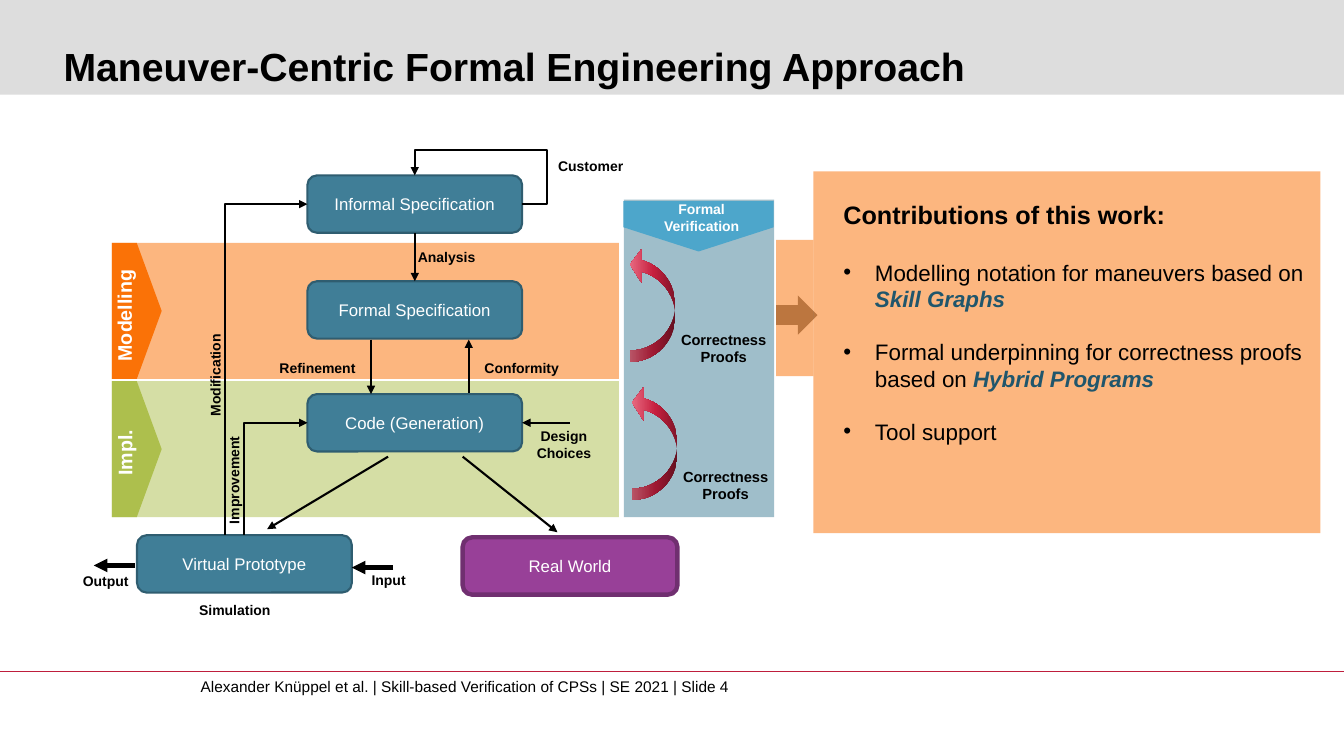
from lxml.etree import SubElement
from pptx import Presentation
from pptx.dml.color import RGBColor
from pptx.enum.dml import MSO_LINE
from pptx.enum.shapes import MSO_CONNECTOR, MSO_SHAPE
from pptx.enum.text import MSO_ANCHOR, MSO_AUTO_SIZE, PP_ALIGN
from pptx.oxml.ns import qn
from pptx.util import Pt

BLACK = RGBColor(0, 0, 0)
WHITE = RGBColor(255, 255, 255)
GREY = RGBColor(0xDD, 0xDD, 0xDD)
RED = RGBColor(0xBE, 0x1E, 0x3C)
TEAL = RGBColor(0x40, 0x7E, 0x97)
DARK_TEAL = RGBColor(0x2F, 0x5D, 0x70)
EMPHASIS = RGBColor(0x20, 0x56, 0x6C)
SKY = RGBColor(0x4D, 0xA6, 0xCB)
ORANGE = RGBColor(0xFA, 0x6E, 0x00)
GREEN = RGBColor(0xAD, 0xBF, 0x4D)
PURPLE = RGBColor(0x98, 0x40, 0x98)
DARK_PURPLE = RGBColor(0x70, 0x2F, 0x70)
PROOF_GRADIENT = [(0, "7F1428"), (48, "C61F3E"), (100, "E76980")]

# Content
TITLE = "Maneuver-Centric Formal Engineering Approach"
FOOTER = "Alexander Knüppel et al. | Skill-based Verification of CPSs | SE 2021 | Slide 4"
HEADING = "Contributions of this work:"
CONTRIBUTIONS = [  # plain text, emphasised text, space before
    ("Modelling notation for maneuvers based on\v", "Skill Graphs", 20.7),
    ("Formal underpinning for correctness proofs\vbased on ", "Hybrid Programs", 18.4),
    ("Tool support", "", 18.4),
]
BOX_WIDTH, BOX_HEIGHT = 153.4, 41
BOXES = [  # text, left, top, fill, line, line width
    ("Informal Specification", 219.6, 125.3, TEAL, DARK_TEAL, 1.5),
    ("Formal Specification", 219.6, 200.9, TEAL, DARK_TEAL, 1.5),
    ("Code (Generation)", 219.6, 281.5, TEAL, DARK_TEAL, 1.5),
    ("Virtual Prototype", 97.9, 382.3, TEAL, DARK_TEAL, 1.5),
    ("Real World", 330.5, 383.8, PURPLE, DARK_PURPLE, 3.15),
]
BAND_LEFT, BAND_WIDTH, BAND_HEIGHT = 79.9, 362.2, 97.2
BANDS = [(GREEN, 272.2, 100), (ORANGE, 173.5, 94)]  # colour, top, arrow opacity
FREE_ARROWS = [  # start, end, width
    ((277.2, 326.2), (190.8, 378), 1.5),
    ((330.5, 326.2), (398.2, 380.2), 1.5),
    ((265, 242.6), (265, 281.5), 1.5),
    ((334.8, 280.8), (334.8, 242.6), 1.5),
    ((280.8, 405.4), (251.3, 405.4), 3.25),
    ((96.5, 403.9), (67, 403.9), 3.25),
]
LABELS = [  # lines, left, top, width, height, size, colour, rotation
    (["Impl."], 65.5, 311, 47.5, 24.5, 14, WHITE, 270),
    (["Modelling"], 49, 213.1, 79.9, 24.5, 14, WHITE, 270),
    (["Simulation"], 134.6, 426.2, 66.2, 19.4, 10, BLACK, 0),
    (["Design", "Choices"], 375.8, 301.7, 54, 31.7, 10, BLACK, 0),
    (["Input"], 257.8, 404.6, 39.6, 19.4, 10, BLACK, 0),
    (["Output"], 51.8, 405.4, 47.5, 19.4, 10, BLACK, 0),
    (["Customer"], 391, 108.7, 61.9, 19.4, 10, BLACK, 0),
    (["Analysis"], 290.9, 173.9, 56.2, 19.4, 10, BLACK, 0),
    (["Conformity"], 338.4, 253.4, 68.4, 19.4, 10, BLACK, 0),
    (["Refinement"], 192.2, 253.4, 69.1, 19.4, 10, BLACK, 0),
    (["Improvement"], 128.2, 333.4, 77.8, 19.4, 10, BLACK, 270),
    (["Modification"], 116.6, 258.5, 74.2, 19.4, 10, BLACK, 270),
    (["Formal", "Verification"], 466.6, 139.7, 69.1, 31.7, 10, WHITE, 0),
    (["Correctness", "Proofs"], 478.8, 232.6, 76.3, 32.4, 10.5, BLACK, 0),
    (["Correctness", "Proofs"], 480.2, 330.5, 76.3, 32.4, 10.5, BLACK, 0),
]
PROOF_ARROWS = [(425.5, 201.6), (427, 300.2)]

presentation = Presentation()
presentation.slide_width, presentation.slide_height = Pt(960), Pt(540)
slide = presentation.slides.add_slide(presentation.slide_layouts[6])


def set_font(font, size, color, bold=False):
    font.name, font.size, font.bold = "Arial", Pt(size), bold
    font.color.rgb = color


def add_shape(kind, left, top, width, height, color, opacity=100, rotation=0):
    shape = slide.shapes.add_shape(kind, Pt(left), Pt(top), Pt(width), Pt(height))
    shape.shadow.inherit = False
    shape.rotation = rotation
    shape.line.fill.background()
    shape.fill.solid()
    shape.fill.fore_color.rgb = color
    if opacity < 100:
        color_element = shape.fill._xPr.find(".//" + qn("a:srgbClr"))
        SubElement(color_element, qn("a:alpha"), val=str(opacity * 1000))
    return shape


def add_text(lines, left, top, width, height, size, color, bold=True,
             align=PP_ALIGN.LEFT, margins=True):
    box = slide.shapes.add_textbox(Pt(left), Pt(top), Pt(width), Pt(height))
    frame = box.text_frame
    frame.word_wrap = not margins
    if margins:
        frame.auto_size = MSO_AUTO_SIZE.SHAPE_TO_FIT_TEXT
    else:
        frame.margin_left = frame.margin_right = frame.margin_top = frame.margin_bottom = 0
    frame.text = "\n".join(lines)
    for paragraph in frame.paragraphs:
        paragraph.alignment = align
        set_font(paragraph.font, size, color, bold)
    return box


def add_line(start, end, width=1.5, color=BLACK, arrow="tailEnd", kind=MSO_CONNECTOR.STRAIGHT):
    line = slide.shapes.add_connector(kind, *(Pt(value) for value in (*start, *end)))
    line.line.width = Pt(width)
    line.line.color.rgb = color
    line.line.dash_style = MSO_LINE.SOLID
    if arrow:
        SubElement(line.line._ln, qn("a:" + arrow), type="triangle")
    SubElement(line._element.spPr, qn("a:effectLst"))
    return line


def add_bent(start, end, preset, arrow, adjustments=()):
    line = add_line(start, end, arrow=arrow, kind=MSO_CONNECTOR.ELBOW)
    geometry = line._element.spPr.find(qn("a:prstGeom"))
    geometry.set("prst", preset)
    guides = geometry.find(qn("a:avLst"))
    for number, value in enumerate(adjustments, 1):
        SubElement(guides, qn("a:gd"), name=f"adj{number}", fmla=f"val {value}")
    return line


# Header and footer
add_shape(MSO_SHAPE.RECTANGLE, 0, 0, 960, 67.7, GREY)
add_line((0, 479.5), (960, 479.5), 0.75, RED, arrow=None)
add_text([FOOTER], 143.3, 483.8, 589, 30.2, 11, BLACK, bold=False, margins=False)
title = add_text([TITLE], 45.4, 8.6, 879.1, 55.4, 28, BLACK, margins=False)
title.text_frame.vertical_anchor = MSO_ANCHOR.BOTTOM

# Phase bands and verification column
add_shape(MSO_SHAPE.RECTANGLE, 445.7, 142.6, 107.3, 226.8, TEAL, 50)
for color, top, opacity in BANDS:
    add_shape(MSO_SHAPE.RECTANGLE, BAND_LEFT, top, BAND_WIDTH, BAND_HEIGHT, color, 50)
    add_shape(MSO_SHAPE.PENTAGON, BAND_LEFT, top, 35.6, BAND_HEIGHT, color, opacity)
banner = add_shape(MSO_SHAPE.PENTAGON, 481, 108, 36, 107.3, SKY, rotation=90)
banner.adjustments[0] = 0.48

# Process boxes
boxes = []
for text, left, top, fill, outline, width in BOXES:
    box = add_shape(MSO_SHAPE.ROUNDED_RECTANGLE, left, top, BOX_WIDTH, BOX_HEIGHT, fill)
    box.line.color.rgb = outline
    box.line.width = Pt(width)
    box.text_frame.text = text
    box.text_frame.vertical_anchor = MSO_ANCHOR.MIDDLE
    paragraph = box.text_frame.paragraphs[0]
    paragraph.alignment = PP_ALIGN.CENTER
    set_font(paragraph.font, 12, WHITE)
    boxes.append(box)
informal, formal, code, prototype, real_world = boxes

# Arrows
for start, end, width in FREE_ARROWS:
    add_line(start, end, width)
analysis = add_line((296.3, 166.3), (296.3, 200.9))
analysis.begin_connect(informal, 2)
analysis.end_connect(formal, 0)
add_line((406.8, 302), (373, 302)).end_connect(code, 3)
add_bent((373, 145.8), (296.3, 125.3), "bentConnector4", "tailEnd", (-23500, 188000))
add_bent((219.6, 302), (174.6, 382.3), "bentConnector2", "headEnd")
add_bent((219.6, 145.8), (160.6, 382.3), "bentConnector2", "headEnd")

# Proof arrows
for left, top in PROOF_ARROWS:
    proof = add_shape(MSO_SHAPE.CURVED_UP_ARROW, left, top, 81.4, 32.4, RED, rotation=270)
    for index, value in enumerate((0.25, 0.725, 0.25)):
        proof.adjustments[index] = value
    proof.fill.gradient()
    gradient = proof.fill._xPr.find(qn("a:gradFill"))
    stops = gradient.find(qn("a:gsLst"))
    stops.clear()
    for position, color in PROOF_GRADIENT:
        stop = SubElement(stops, qn("a:gs"), pos=str(position * 1000))
        SubElement(stop, qn("a:srgbClr"), val=color)
    gradient.find(qn("a:lin")).set("ang", "16200000")

# Labels
for lines, left, top, width, height, size, color, rotation in LABELS:
    label = add_text(lines, left, top, width, height, size, color, align=PP_ALIGN.CENTER)
    label.rotation = rotation

# Contributions panel
add_shape(MSO_SHAPE.RIGHT_ARROW, 554.4, 211, 29.5, 28.1, BLACK, 50)
add_shape(MSO_SHAPE.RECTANGLE, 554.4, 171.4, 26.6, 97.2, ORANGE, 50)
add_shape(MSO_SHAPE.RECTANGLE, 581, 122.4, 362.2, 258.5, ORANGE, 50)
panel = add_text([HEADING], 595.4, 139, 347, 189.4, 18, BLACK)
for plain, emphasis, space in CONTRIBUTIONS:
    paragraph = panel.text_frame.add_paragraph()
    properties = paragraph._p.get_or_add_pPr()
    properties.set("marL", str(Pt(22.5)))
    properties.set("indent", str(Pt(-22.5)))
    SubElement(properties, qn("a:buFont"), typeface="Arial")
    SubElement(properties, qn("a:buChar"), char="•")
    paragraph.space_before = Pt(space)
    set_font(paragraph.font, 16, BLACK)
    for part in plain.split("\v")[:-1]:
        paragraph.add_run().text = part
        paragraph.add_line_break()
    paragraph.add_run().text = plain.split("\v")[-1]
    if emphasis:
        run = paragraph.add_run()
        run.text = emphasis
        set_font(run.font, 16, EMPHASIS, bold=True)
        run.font.italic = True

presentation.save("out.pptx")
